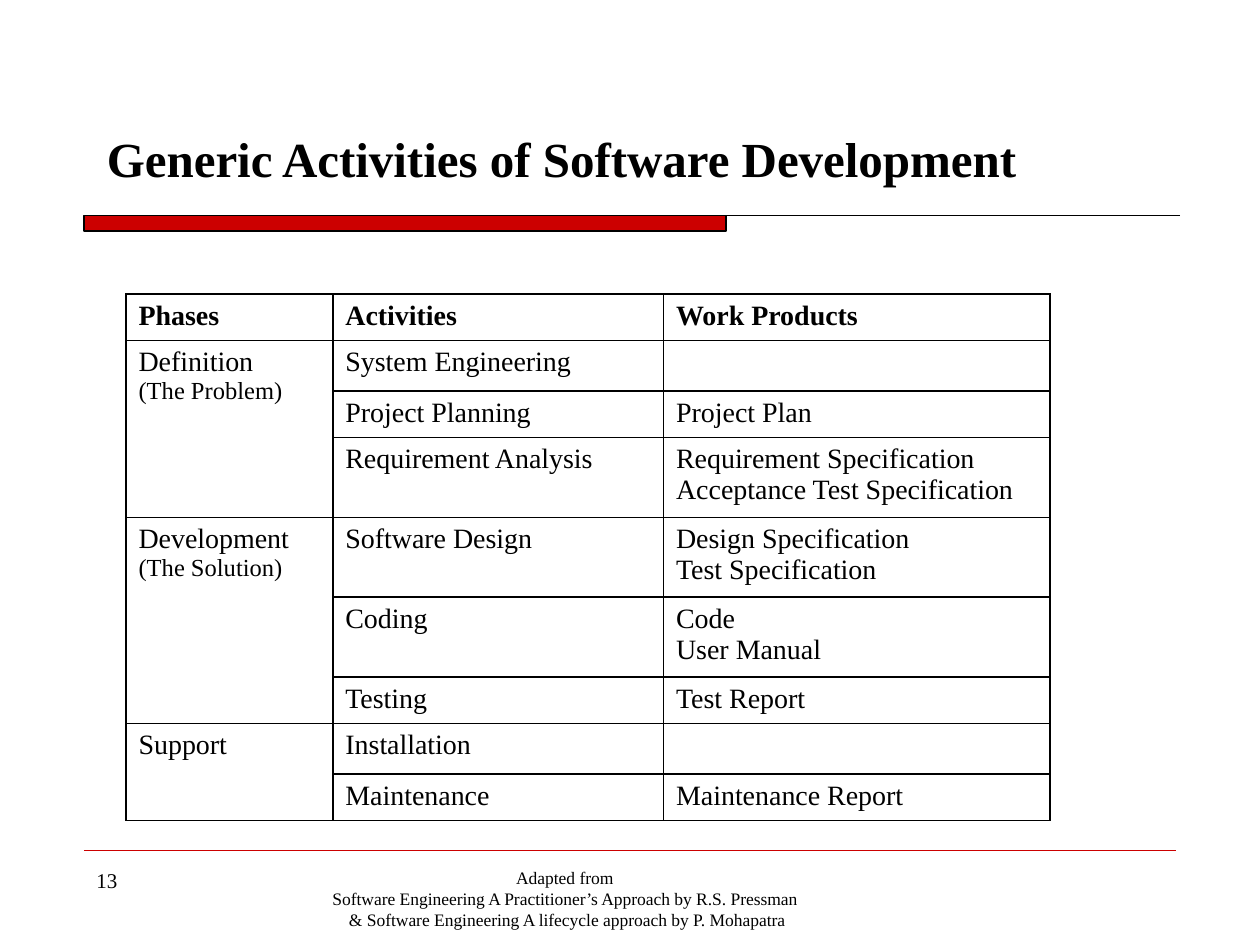
from dataclasses import dataclass

from lxml import etree
from pptx import Presentation
from pptx.dml.color import RGBColor
from pptx.enum.shapes import MSO_CONNECTOR
from pptx.enum.text import MSO_ANCHOR, MSO_AUTO_SIZE, PP_ALIGN
from pptx.oxml.ns import qn
from pptx.util import Inches, Pt

STRAIGHT = MSO_CONNECTOR.STRAIGHT
TOP, MIDDLE = MSO_ANCHOR.TOP, MSO_ANCHOR.MIDDLE
LEFT, CENTER = PP_ALIGN.LEFT, PP_ALIGN.CENTER
FIT_SHAPE = MSO_AUTO_SIZE.SHAPE_TO_FIT_TEXT

FONT = "Times New Roman"
BLACK, RED = "000000", "CC0000"
BLANK_LAYOUT = 6
UNITS_PER_INCH = 12  # the slide is a grid of 120 columns by 90 rows


@dataclass(frozen=True)
class Box:
    left: float
    top: float
    width: float
    height: float


@dataclass(frozen=True)
class Activity:
    name: str
    products: tuple[str, ...] = ()

    @property
    def height(self) -> float:
        return {0: 4.8, 1: 4.43, 2: 7.6}[len(self.products)]


@dataclass(frozen=True)
class Phase:
    name: str
    activities: tuple[Activity, ...]
    note: str = ""


HEADINGS = ("Phases", "Activities", "Work Products")
COLUMN_WIDTHS = (19.7, 31.5, 36.8)
HEADING_HEIGHT = 4.43
PHASES = (
    Phase("Definition", (
        Activity("System Engineering"),
        Activity("Project Planning", ("Project Plan",)),
        Activity("Requirement Analysis",
                 ("Requirement Specification", "Acceptance Test Specification")),
    ), "(The Problem)"),
    Phase("Development", (
        Activity("Software Design", ("Design Specification", "Test Specification")),
        Activity("Coding", ("Code", "User Manual")),
        Activity("Testing", ("Test Report",)),
    ), "(The Solution)"),
    Phase("Support", (
        Activity("Installation"),
        Activity("Maintenance", ("Maintenance Report",)),
    )),
)
FOOTER = (
    "Adapted from ",
    "Software Engineering A Practitioner’s Approach by R.S. Pressman ",
    "& Software Engineering A lifecycle approach by P. Mohapatra",
)


def grid(units: float) -> int:
    return Inches(units / UNITS_PER_INCH)


def color(value: str) -> RGBColor:
    return RGBColor.from_string(value)


def write(frame, *lines: str, sizes=(16,), bold=False, align=LEFT) -> None:
    """Write one paragraph per line; the last size serves all further lines."""
    for index, line in enumerate(lines):
        paragraph = frame.add_paragraph() if index else frame.paragraphs[0]
        paragraph.alignment = align
        run = paragraph.add_run()
        run.text = line
        run.font.name = FONT
        run.font.size = Pt(sizes[min(index, len(sizes) - 1)])
        run.font.bold = bold
        run.font.color.rgb = color(BLACK)


def add_text(slide, box: Box, *lines: str, anchor=TOP, fit=False, **text_format) -> None:
    shape = slide.shapes.add_textbox(
        grid(box.left), grid(box.top), grid(box.width), grid(box.height))
    frame = shape.text_frame
    frame.word_wrap = True
    frame.vertical_anchor = anchor
    if fit:
        frame.auto_size = FIT_SHAPE
    write(frame, *lines, **text_format)


def add_title_rule(slide) -> None:
    """Draw the thick bar and the thin rule as one outline."""
    left, right, bar_right, top, bottom = 8, 112.4, 69.15, 20.5, 22
    builder = slide.shapes.build_freeform(grid(left), grid(top))
    builder.add_line_segments(
        [(grid(x), grid(y)) for x, y in
         ((bar_right, top), (bar_right, bottom), (left, bottom))], close=True)
    builder.move_to(grid(left), grid(top))
    builder.add_line_segments([(grid(right), grid(top))], close=False)
    shape = builder.convert_to_shape()
    shape.shadow.inherit = False
    shape.fill.solid()
    shape.fill.fore_color.rgb = color(RED)
    shape.line.color.rgb = color(BLACK)
    shape.line.width = Pt(0.75)


def add_footer_rule(slide) -> None:
    connector = slide.shapes.add_connector(
        STRAIGHT, grid(8), grid(81), grid(112), grid(81))
    connector.line.color.rgb = color(RED)
    connector.line.width = Pt(0.75)
    etree.SubElement(connector._element.spPr, qn("a:effectLst"))


def add_borders(cell) -> None:
    properties = cell._tc.get_or_add_tcPr()
    for index, side in enumerate(("lnL", "lnR", "lnT", "lnB")):
        line = etree.Element(qn(f"a:{side}"), w=str(Pt(1)))
        fill = etree.SubElement(line, qn("a:solidFill"))
        etree.SubElement(fill, qn("a:srgbClr"), val=BLACK)
        properties.insert(index, line)


def add_activity_table(slide) -> None:
    activities = [activity for phase in PHASES for activity in phase.activities]
    heights = [HEADING_HEIGHT] + [activity.height for activity in activities]
    table = slide.shapes.add_table(
        len(heights), len(COLUMN_WIDTHS), grid(12), grid(28),
        grid(sum(COLUMN_WIDTHS)), grid(sum(heights))).table
    table.first_row = table.horz_banding = False
    for column, width in zip(table.columns, COLUMN_WIDTHS):
        column.width = grid(width)
    for row, height in zip(table.rows, heights):
        row.height = grid(height)
    for cell in table.iter_cells():
        cell.fill.background()
        add_borders(cell)

    # Heading row
    for column, heading in enumerate(HEADINGS):
        write(table.cell(0, column).text_frame, heading, bold=True)

    # Activities and their work products
    for row, activity in enumerate(activities, start=1):
        write(table.cell(row, 1).text_frame, activity.name)
        write(table.cell(row, 2).text_frame, *activity.products)

    # Each phase spans its activities
    first = 1
    for phase in PHASES:
        last = first + len(phase.activities) - 1
        cell = table.cell(first, 0)
        cell.merge(table.cell(last, 0))
        lines = [line for line in (phase.name, phase.note) if line]
        write(cell.text_frame, *lines, sizes=(16, 14))
        first = last + 1


def main() -> None:
    presentation = Presentation()
    presentation.slide_width, presentation.slide_height = grid(120), grid(90)
    slide = presentation.slides.add_slide(presentation.slide_layouts[BLANK_LAYOUT])
    add_title_rule(slide)
    add_footer_rule(slide)
    add_text(slide, Box(8, 82, 26, 6.25), "13", sizes=(12,))
    add_text(slide, Box(29, 82, 50, 5), *FOOTER, sizes=(10,), align=CENTER)
    add_text(slide, Box(9, 11.6, 89.5, 6.85), "Generic Activities of Software Development",
             sizes=(28,), bold=True, anchor=MIDDLE, fit=True)
    add_activity_table(slide)
    presentation.save("out.pptx")


if __name__ == "__main__":
    main()
